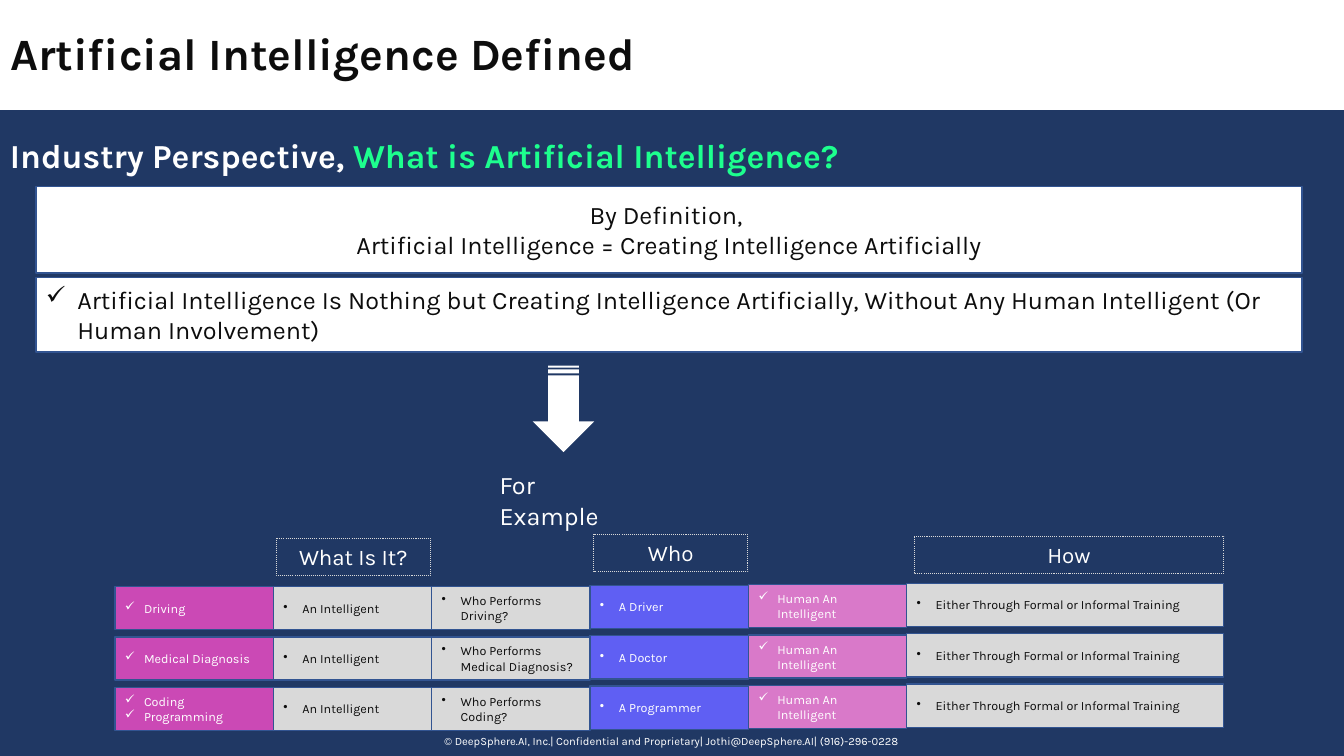
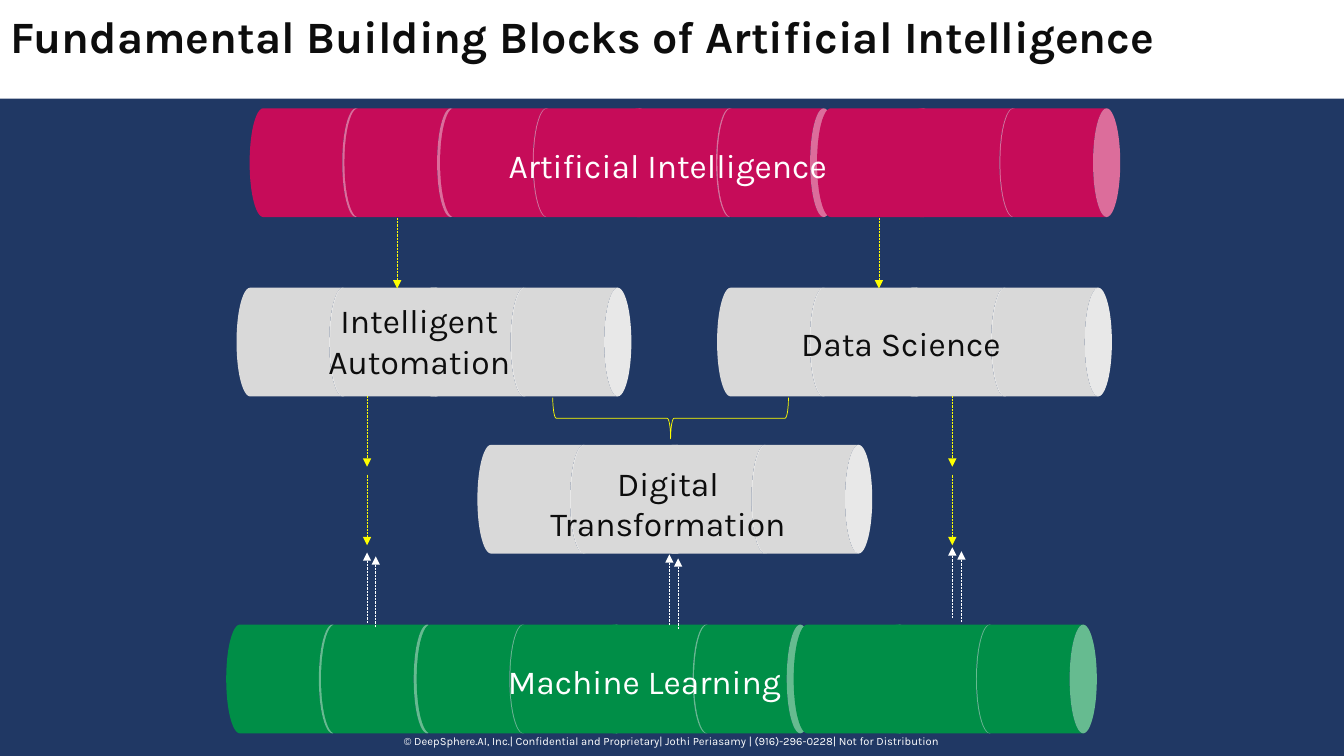
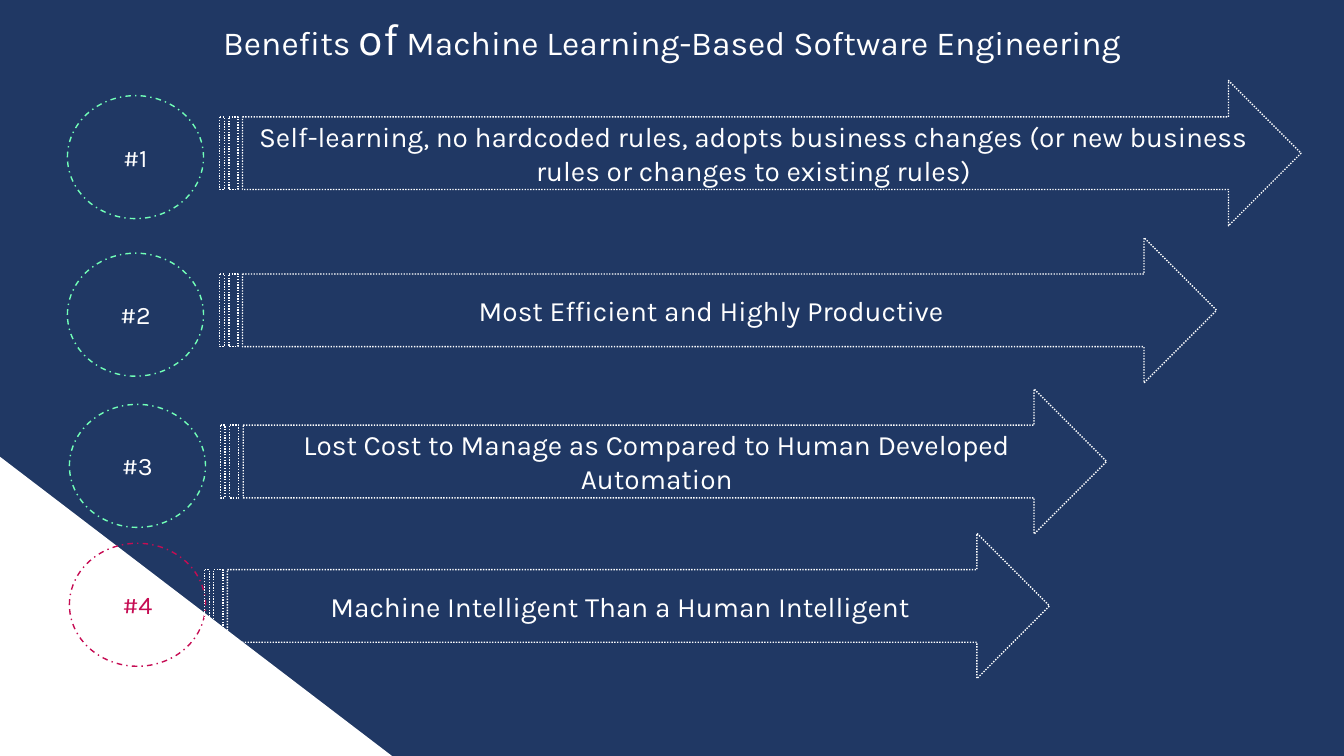
from lxml import etree
from pptx import Presentation
from pptx import util as u
from pptx.dml.color import RGBColor
from pptx.enum import dml, shapes, text
from pptx.oxml.ns import qn


class Theme:
    font = "Karla"
    navy, white, ink, grey = "203864", "FFFFFF", "0D0D0D", "D9D9D9"
    edge, mint, pale_mint, yellow = "325491", "1DFF8E", "71FFB8", "FFFF00"
    magenta, pink, violet = "CB49B5", "D979C9", "5F5FF3"
    crimson, red, green = "C60C59", "C60C53", "008E47"
    title, heading, benefit, body, label, cell, footer = 32, 24, 20, 18, 16, 9, 8


T = Theme
SHAPE = shapes.MSO_SHAPE
DASH = dml.MSO_LINE
LEFT, CENTER = text.PP_ALIGN.LEFT, text.PP_ALIGN.CENTER
WIDTH, HEIGHT = 33.87, 19.05


def box(s, kind, at, fill=None, line=None, dash=None, weight=1, turn=0):
    at = [u.Cm(v) for v in at]
    if kind is None:
        sp = s.shapes.add_textbox(*at)
        sp.text_frame.auto_size = text.MSO_AUTO_SIZE.SHAPE_TO_FIT_TEXT
        return sp
    sp = s.shapes.add_shape(kind, *at)
    sp.shadow.inherit = False
    sp.rotation = turn
    if fill:
        sp.fill.solid()
        sp.fill.fore_color.rgb = RGBColor.from_string(fill)
    else:
        sp.fill.background()
    if line:
        sp.line.color.rgb = RGBColor.from_string(line)
        sp.line.width = u.Pt(weight)
        if dash:
            sp.line.dash_style = dash
    else:
        sp.line.fill.background()
    return sp


def write(sp, paragraphs, align=CENTER, bold=False, bullet=None, indent=0):
    tf = sp.text_frame
    tf.word_wrap = True
    for i, runs in enumerate(paragraphs):
        p = tf.add_paragraph() if i else tf.paragraphs[0]
        p.alignment = align
        if bullet:
            pPr = p._p.get_or_add_pPr()
            pPr.set("marL", str(u.Cm(indent)))
            pPr.set("indent", str(-u.Cm(indent)))
            etree.SubElement(pPr, qn("a:buChar")).set("char", bullet)
        for words, size, color in runs:
            r = p.add_run()
            r.text = words
            r.font.name = T.font
            r.font.size = u.Pt(size)
            r.font.bold = bold
            r.font.color.rgb = RGBColor.from_string(color)


prs = Presentation()
prs.slide_width, prs.slide_height = u.Cm(WIDTH), u.Cm(HEIGHT)
background = prs.slide_master.background.fill
background.solid()
background.fore_color.rgb = RGBColor.from_string(T.navy)

frames = [
    (2.77, 0.51, LEFT, [("Artificial Intelligence Defined", T.title, T.ink)],
     "© DeepSphere.AI, Inc.| Confidential and Proprietary| Jothi@DeepSphere.AI| (916)-296-0228"),
    (2.49, 0.08, LEFT, [("Fundamental Building Blocks of Artificial Intelligence", T.title, T.ink)],
     "© DeepSphere.AI, Inc.| Confidential and Proprietary| Jothi Periasamy | (916)-296-0228| Not for Distribution"),
    (0, 0.15, CENTER, [("Benefits ", T.heading, T.white), ("of", T.title, T.white),
                       (" Machine Learning-Based Software Engineering", T.heading, T.white)], None),
]
for band_height, title_top, align, runs, footer in frames:
    s = prs.slides.add_slide(prs.slide_layouts[5])
    title = s.shapes.title
    title.left, title.top = u.Cm(0), u.Cm(title_top)
    title.width, title.height = u.Cm(WIDTH), u.Cm(1.63)
    title.text_frame.auto_size = text.MSO_AUTO_SIZE.NONE
    title.text_frame.vertical_anchor = text.MSO_ANCHOR.TOP
    write(title, [runs], align, bold=band_height > 0)
    if band_height:
        band = box(s, SHAPE.RECTANGLE, (0, 0, WIDTH, band_height), T.white)
        title._element.addprevious(band._element)
    if footer:
        write(box(s, None, (0, 18.39, WIDTH, 0.61)), [[(footer, T.footer, T.white)]])

defined, blocks, benefits = prs.slides

s = defined
write(box(s, None, (0, 3.28, WIDTH, 1.27)),
      [[("Industry Perspective, ", T.heading, T.white),
        ("What is Artificial Intelligence?", T.heading, T.mint)]], LEFT, bold=True)
sp = box(s, SHAPE.RECTANGLE, (0.91, 4.7, 31.9, 2.18), T.white, T.edge)
write(sp, [[("By Definition, ", T.body, T.ink)],
           [("Artificial Intelligence = Creating Intelligence Artificially", T.body, T.ink)]])
sp = box(s, SHAPE.RECTANGLE, (0.91, 6.99, 31.9, 1.88), T.white, T.edge)
write(sp, [[("Artificial Intelligence Is Nothing but Creating Intelligence Artificially, "
             "Without Any Human Intelligent (Or Human Involvement)", T.body, T.ink)]],
      LEFT, bullet="✓", indent=0.79)
box(s, SHAPE.STRIPED_RIGHT_ARROW, (13.11, 9.53, 2.18, 1.55), T.white, turn=90)
write(box(s, None, (12.34, 11.71, 3.96, 1.02)), [[("For Example", T.body, T.white)]], LEFT)

for words, left, top, width in [("What Is It?", 6.96, 13.56, 3.89),
                                ("Who", 14.96, 13.46, 3.89),
                                ("How", 23.04, 13.51, 7.8)]:
    sp = box(s, SHAPE.RECTANGLE, (left, top, width, 0.94), None, T.grey, DASH.ROUND_DOT, 0.75)
    write(sp, [[(words, T.label, T.white)]])

columns = [
    (T.magenta, T.white, "✓", 0, 3.99),
    (T.grey, T.ink, "•", 0, 3.99),
    (T.grey, T.ink, "•", 0, 3.99),
    (T.violet, T.white, "•", 0.03, 3.99),
    (T.pink, T.white, "✓", 0.05, 3.99),
    (T.grey, T.ink, "•", 0.08, 7.98),
]
examples = [
    (["Driving"], "Who Performs Driving?", "A Driver"),
    (["Medical Diagnosis"], "Who Performs Medical Diagnosis?", "A Doctor"),
    (["Coding", "Programming"], "Who Performs Coding?", "A Programmer"),
]
for row, (task, question, person) in enumerate(examples):
    cells = [task, ["An Intelligent"], [question], [person], ["Human An Intelligent"],
             ["Either Through Formal or Informal Training"]]
    for col, (lines, (fill, color, bullet, lift, width)) in enumerate(zip(cells, columns)):
        at = (2.9 + 3.99 * col, 14.78 + 1.27 * row - lift, width, 1.09)
        sp = box(s, SHAPE.RECTANGLE, at, fill, T.edge)
        write(sp, [[(line, T.cell, color)] for line in lines], LEFT, bullet=bullet, indent=0.48)

s = blocks
long_pipe = (0, 2.39, 4.8, 7.16, 9.42, 11.79, 14.3, 16.56, 18.92)
short_pipe = (0, 2.36, 4.57, 6.93)
pipes = [
    (6.43, 2.59, long_pipe, T.crimson, T.white, "Artificial Intelligence", (6.53, 3.53, 20.6, 1.27)),
    (6.1, 7.11, short_pipe, T.grey, T.ink, "Intelligent Automation", (6.35, 7.44, 8.43, 2.31)),
    (18.21, 7.11, short_pipe, T.grey, T.ink, "Data Science", (18.49, 8, 8.43, 1.27)),
    (12.17, 11.07, short_pipe, T.grey, T.ink, "Digital Transformation", (12.62, 11.53, 8.43, 2.31)),
    (5.84, 15.6, long_pipe, T.green, T.white, "Machine Learning", (5.94, 16.54, 20.6, 1.27)),
]
for left, top, offsets, fill, color, words, label_at in pipes:
    for offset in offsets:
        box(s, SHAPE.CAN, (left + offset, top, 2.74, 3.02), fill, turn=90)
    write(box(s, None, label_at), [[(words, T.heading, color)]])
box(s, SHAPE.RIGHT_BRACE, (16.38, 7.57, 1.04, 5.94), None, T.yellow, weight=0.5, turn=90)

down = [(10.01, 5.49), (22.15, 5.49), (9.25, 9.98), (9.25, 11.96), (24, 9.98), (24, 11.96)]
up = [(24, 15.57), (9.25, 15.7), (16.87, 15.75), (24.23, 15.67), (9.47, 15.8), (17.09, 15.85)]
for starts, rise, color in [(down, 1.78, T.yellow), (up, -1.78, T.white)]:
    for x, y in starts:
        arrow = s.shapes.add_connector(shapes.MSO_CONNECTOR.STRAIGHT,
                                       u.Cm(x), u.Cm(y), u.Cm(x), u.Cm(y + rise))
        arrow.line.color.rgb = RGBColor.from_string(color)
        arrow.line.width = u.Pt(0.5)
        arrow.line.dash_style = DASH.ROUND_DOT
        etree.SubElement(arrow.line._get_or_add_ln(), qn("a:tailEnd")).set("type", "triangle")
        etree.SubElement(arrow._element.spPr, qn("a:effectLst"))

s = benefits
box(s, SHAPE.RIGHT_TRIANGLE, (0, 11.51, 9.88, 7.54), T.white)
points = [
    (1.7, 2.41, 5.54, 2.03, 27.25, T.pale_mint, T.white,
     "Self-learning, no hardcoded rules, adopts business changes "
     "(or new business rules or changes to existing rules)"),
    (1.7, 6.38, 5.54, 5.99, 25.12, T.pale_mint, T.white, "Most Efficient and Highly Productive"),
    (1.75, 10.19, 5.56, 9.8, 22.33, T.pale_mint, T.white,
     "Lost Cost to Manage as Compared to Human Developed Automation"),
    (1.75, 13.69, 5.16, 13.44, 21.29, T.red, T.red, "Machine Intelligent Than a Human Intelligent"),
]
for n, (x, y, left, top, width, ring, color, words) in enumerate(points, 1):
    sp = box(s, SHAPE.OVAL, (x, y, 3.43, 3.1), None, ring, DASH.DASH_DOT)
    write(sp, [[(f"#{n}", T.body, color)]])
    sp = box(s, SHAPE.STRIPED_RIGHT_ARROW, (left, top, width, 3.66), None, T.white, DASH.ROUND_DOT)
    write(sp, [[(words, T.benefit, T.white)]])

prs.save("out.pptx")
